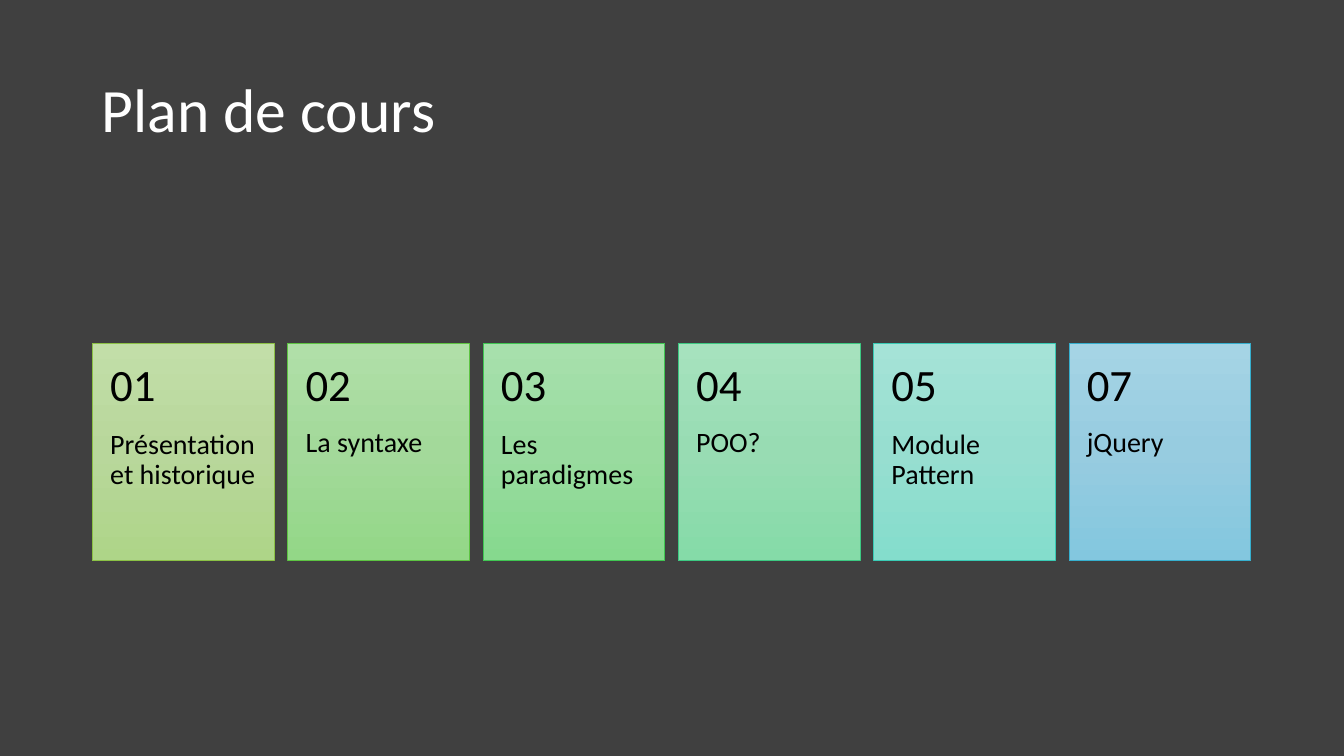
from copy import deepcopy

from pptx import Presentation
from pptx.dml.color import RGBColor
from pptx.enum.shapes import MSO_SHAPE
from pptx.enum.text import MSO_ANCHOR
from pptx.util import Emu, Pt

BACKGROUND = RGBColor(0x40, 0x40, 0x40)
WHITE = RGBColor(0xFF, 0xFF, 0xFF)
BLACK = RGBColor(0x00, 0x00, 0x00)
FONT = "Calibri"

TITLE_BOX = (87, 38, 1105, 139)
CARDS_BOX = (88, 327, 1103, 207)
CARD_WIDTH = 173
NUMBER_HEIGHT = 83
INSET = 17

CHAPTERS = [
    ("01", "Présentation et historique", "8BC145", ("C2DEA8", "B8D79B", "AED588")),
    ("02", "La syntaxe", "5DC442", ("B0DFA8", "A3D99A", "93D787")),
    ("03", "Les paradigmes", "3FC652", ("A7E0AC", "99DB9F", "86D98E")),
    ("04", "POO?", "3CC982", ("A6E2BE", "98DCB3", "85DBA8")),
    ("05", "Module Pattern", "39CBB5", ("A5E3D7", "97DED0", "84DDCC")),
    ("07", "jQuery", "36AFCE", ("A5D4E5", "97CCE0", "83C7DF")),
]


def px(length):
    return Emu(length * 9525)


def add_text(slide, box, text, size, color, insets, anchor=MSO_ANCHOR.TOP):
    frame = slide.shapes.add_textbox(*map(px, box)).text_frame
    frame.word_wrap = True
    frame.vertical_anchor = anchor
    frame.margin_left, frame.margin_top, frame.margin_right, frame.margin_bottom = map(px, insets)
    paragraph = frame.paragraphs[0]
    paragraph.text = text
    paragraph.line_spacing = 0.9
    paragraph.font.name = FONT
    paragraph.font.size = Pt(size)
    paragraph.font.color.rgb = color


def fill_gradient(shape, colors):
    fill = shape.fill
    fill.gradient()
    fill.gradient_angle = 270
    first_stop = shape._element.spPr.find(".//{*}gs")
    first_stop.addnext(deepcopy(first_stop))
    for stop, position, color in zip(fill.gradient_stops, (0, 0.5, 1), colors):
        stop.position = position
        stop.color.rgb = RGBColor.from_string(color)


def add_card(slide, box, number, label, line_color, gradient):
    left, top, width, height = box
    card = slide.shapes.add_shape(MSO_SHAPE.RECTANGLE, *map(px, box))
    card.shadow.inherit = False
    fill_gradient(card, gradient)
    card.line.color.rgb = RGBColor.from_string(line_color)
    card.line.width = Pt(0.5)
    label_box = (left, top + NUMBER_HEIGHT, width, height - NUMBER_HEIGHT)
    add_text(slide, label_box, label, 20, BLACK, (INSET, 0, INSET, 2 * INSET))
    number_box = (left, top, width, NUMBER_HEIGHT)
    add_text(slide, number_box, number, 32, BLACK, (INSET,) * 4, MSO_ANCHOR.MIDDLE)


def add_cards(slide, box):
    left, top, width, height = box
    pitch = (width - CARD_WIDTH) // (len(CHAPTERS) - 1)
    for index, chapter in enumerate(CHAPTERS):
        add_card(slide, (left + index * pitch, top, CARD_WIDTH, height), *chapter)


def main():
    presentation = Presentation()
    presentation.slide_width = px(1280)
    presentation.slide_height = px(720)
    slide = presentation.slides.add_slide(presentation.slide_layouts[6])
    slide.background.fill.solid()
    slide.background.fill.fore_color.rgb = BACKGROUND
    add_text(slide, TITLE_BOX, "Plan de cours", 44, WHITE, (10, 5, 10, 5), MSO_ANCHOR.MIDDLE)
    add_cards(slide, CARDS_BOX)
    presentation.save("out.pptx")


if __name__ == "__main__":
    main()
